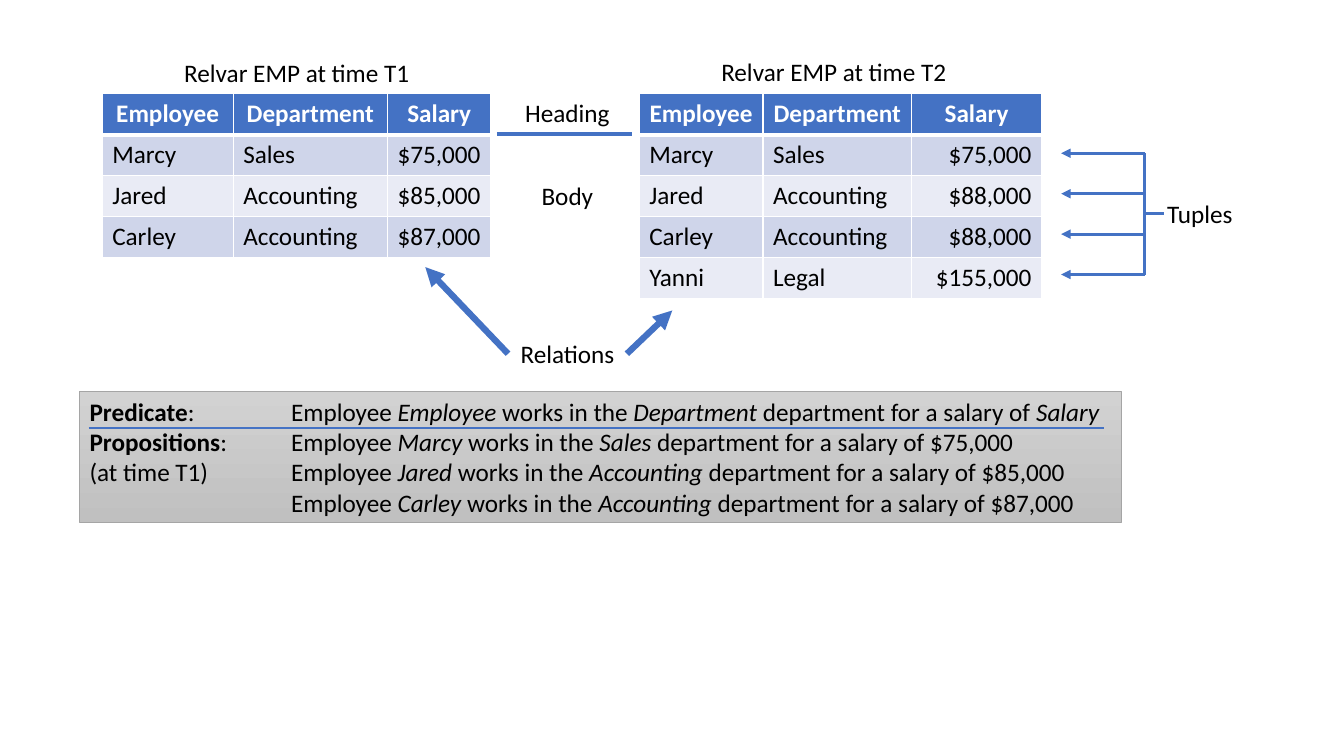
from pptx import Presentation
from pptx.util import Pt
from pptx.dml.color import RGBColor
from pptx.enum.shapes import MSO_CONNECTOR as Link, MSO_SHAPE as Form
from pptx.enum.text import PP_ALIGN as Align
from pptx.oxml.ns import qn
from lxml.etree import SubElement as Sub

BLUE, WHITE, BLACK = "4472C4", "FFFFFF", "000000"
BANDS = "CFD5EA", "E9EBF5"
HEADS = "Employee", "Department", "Salary"
ROW = 29.2


def hue(code):
    return RGBColor.from_string(code)


def write(frame, text, color=BLACK, bold=False, align=Align.LEFT, tab=None):
    """Lines become paragraphs; *bold* and _italic_ mark runs."""
    frame.word_wrap = True
    for i, line in enumerate(text.split("\n")):
        para = frame.paragraphs[0] if i == 0 else frame.add_paragraph()
        para.alignment = align
        if tab:
            stops = Sub(para._p.get_or_add_pPr(), qn("a:tabLst"))
            Sub(stops, qn("a:tab"), pos=str(Pt(tab)), algn="l")
        for j, part in enumerate(line.split("_")):
            for k, piece in enumerate(part.split("*")):
                if piece:
                    run = para.add_run()
                    run.text = piece
                    font = run.font
                    font.name, font.size = "Calibri", Pt(18)
                    font.bold, font.italic = bold or k % 2 == 1, j % 2 == 1
                    font.color.rgb = hue(color)


def label(slide, text, x, y, w, h=29, align=Align.CENTER, **style):
    box = slide.shapes.add_textbox(Pt(x), Pt(y), Pt(w), Pt(h))
    write(box.text_frame, text, align=align, **style)


def line(slide, x1, y1, x2, y2, width, arrow=False):
    link = slide.shapes.add_connector(
        Link.STRAIGHT, Pt(x1), Pt(y1), Pt(x2), Pt(y2))
    link.line.color.rgb = hue(BLUE)
    link.line.width = Pt(width)
    if arrow:
        Sub(link.line._get_or_add_ln(), qn("a:tailEnd"), type="triangle")
    Sub(link._element.spPr, qn("a:effectLst"))


def border(cell, top, base):
    props = cell._tc.get_or_add_tcPr()
    for side, width in zip("LRTB", (1, 1, top, base)):
        edge = Sub(props, qn("a:ln" + side), w=str(Pt(width)))
        Sub(Sub(edge, qn("a:solidFill")), qn("a:srgbClr"), val=WHITE)


def relvar(slide, title, x, y, cols, rows, lift, last):
    """Titled table; last is the alignment of the salary column."""
    label(slide, title, x, y - lift, 278)
    data = [HEADS, *rows]
    grid = slide.shapes.add_table(len(data), len(cols), Pt(x), Pt(y),
                                  Pt(sum(cols)), Pt(ROW * len(data))).table
    for col, width in zip(grid.columns, cols):
        col.width = Pt(width)
    for r, row in enumerate(data):
        grid.rows[r].height = Pt(ROW)
        for c, text in enumerate(row):
            cell = grid.cell(r, c)
            border(cell, 3 if r == 1 else 1, 3 if r == 0 else 1)
            cell.fill.solid()
            if r == 0:
                cell.fill.fore_color.rgb = hue(BLUE)
                write(cell.text_frame, text, color=WHITE, bold=True,
                      align=Align.CENTER)
            else:
                align = last if c == 2 else Align.LEFT
                cell.fill.fore_color.rgb = hue(BANDS[(r - 1) % 2])
                write(cell.text_frame, text, align=align)
                if align == Align.LEFT:  # room for the text on one line
                    cell.margin_right = Pt(4)


def middle(slide, x, y, w):
    """Names of the table parts, between the two tables."""
    label(slide, "Heading", x + 11, y - 1.2, w - 18)
    line(slide, x, y + 28.8, x + w, y + 28.8, 3)
    label(slide, "Body", x + 11, y + 58.3, w - 18)
    label(slide, "Relations", x + 8.3, y + 171.3, 84.2)
    line(slide, x + 7.9, y + 185.7, x - 51.2, y + 123.8, 4.5, True)
    line(slide, x + 92.8, y + 185.7, x + 125.2, y + 154.8, 4.5, True)


def tuples(slide, x, y, w, h):
    """Bracket with one arrow for each row."""
    stem = x + w
    line(slide, stem, y, stem, y + h, 2.25)
    line(slide, stem, y + h / 2, stem + 13.7, y + h / 2, 2.25)
    for i in range(4):
        level = y + i * h / 3
        line(slide, stem, level, x, level, 2.25, True)
    label(slide, "Tuples", stem, y + 28.8, 78.5)


def panel(slide, x, y, w, h):
    """Grey box with the predicate and its propositions."""
    box = slide.shapes.add_shape(Form.RECTANGLE, Pt(x), Pt(y), Pt(w), Pt(h))
    box.shadow.inherit = False
    box.fill.gradient()
    box.fill.gradient_angle = 270
    for stop, code in zip(box.fill.gradient_stops, ("D2D2D2", "C0C0C0")):
        stop.color.rgb = hue(code)
    box.line.color.rgb = hue("A5A5A5")
    box.line.width = Pt(0.5)
    claim = "\tEmployee _{}_ works in the _{}_ department for a salary of {}"
    facts = [("*Predicate*:", "Employee", "Department", "_Salary_"),
             ("*Propositions*:", "Marcy", "Sales", "$75,000"),
             ("(at time T1)", "Jared", "Accounting", "$85,000"),
             ("", "Carley", "Accounting", "$87,000")]
    text = "\n".join(lead + claim.format(*rest) for lead, *rest in facts)
    label(slide, text, x, y, w - 5, h, align=Align.LEFT, tab=144)
    line(slide, x + 6.5, y + 26.2, x + 731.5, y + 26.2, 1.5)


def main():
    deck = Presentation()
    deck.slide_width, deck.slide_height = Pt(960), Pt(540)
    slide = deck.slides.add_slide(deck.slide_layouts[6])
    panel(slide, 56.9, 279.4, 743.8, 93.6)
    relvar(slide, "Relvar EMP at time T1", 73, 67, (93.6, 110.2, 74),
           [("Marcy", "Sales", "$75,000"),
            ("Jared", "Accounting", "$85,000"),
            ("Carley", "Accounting", "$87,000")], 29.5, Align.LEFT)
    relvar(slide, "Relvar EMP at time T2", 456.6, 67, (88.4, 106.2, 92.8),
           [("Marcy", "Sales", "$75,000"),
            ("Jared", "Accounting", "$88,000"),
            ("Carley", "Accounting", "$88,000"),
            ("Yanni", "Legal", "$155,000")], 30, Align.RIGHT)
    middle(slide, 355, 67, 96.5)
    tuples(slide, 758, 109.5, 59.8, 86.6)
    deck.save("out.pptx")


if __name__ == "__main__":
    main()
